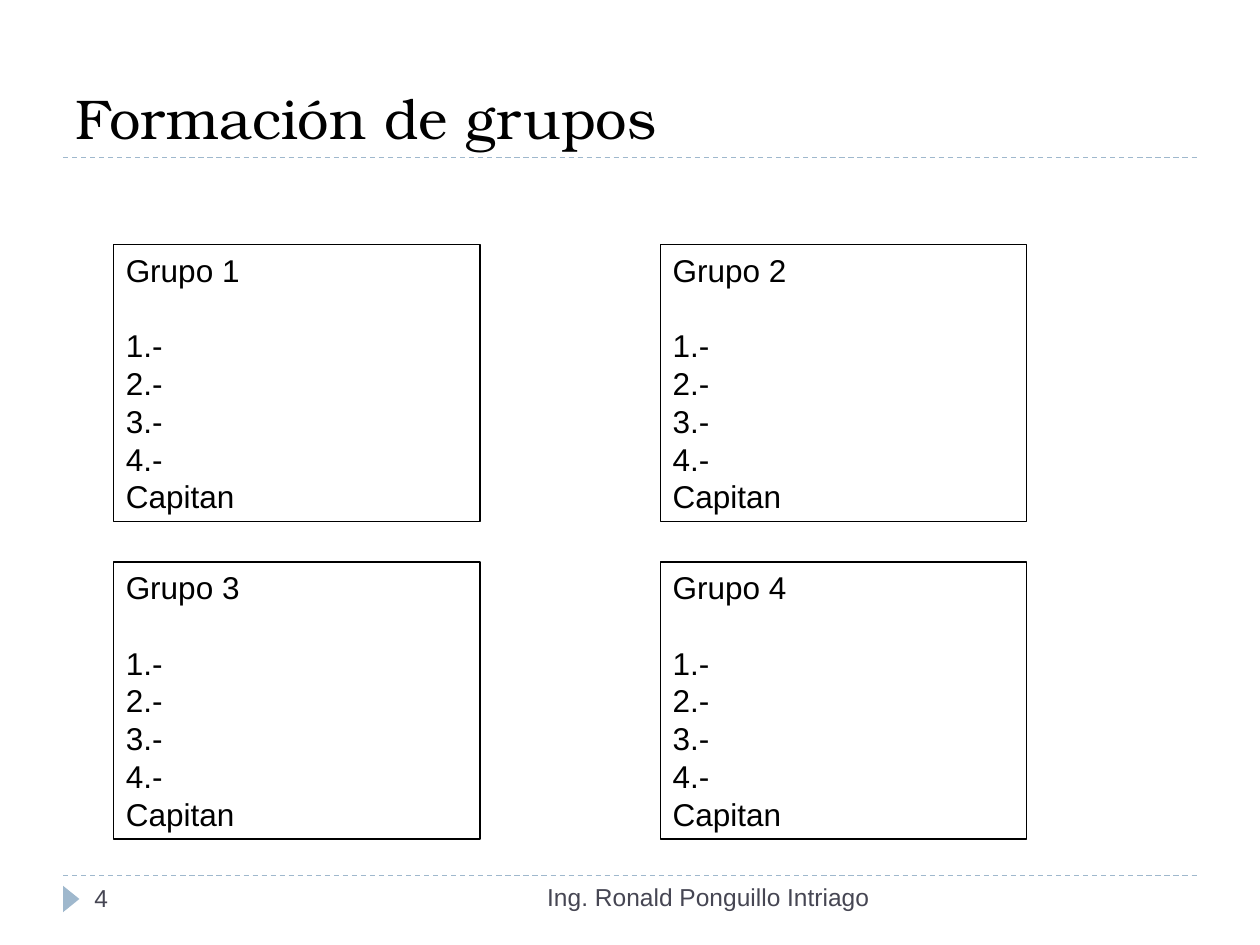
from lxml import etree
from pptx import Presentation
from pptx.dml.color import RGBColor
from pptx.enum.dml import MSO_LINE
from pptx.enum.shapes import MSO_CONNECTOR, MSO_SHAPE
from pptx.enum.text import MSO_ANCHOR, MSO_AUTO_SIZE, PP_ALIGN
from pptx.oxml.ns import qn
from pptx.util import Inches, Pt

DASH = MSO_LINE.DASH
STRAIGHT = MSO_CONNECTOR.STRAIGHT
RECTANGLE = MSO_SHAPE.RECTANGLE
TRIANGLE = MSO_SHAPE.ISOSCELES_TRIANGLE
TOP, BOTTOM = MSO_ANCHOR.TOP, MSO_ANCHOR.BOTTOM
NO_AUTOFIT = MSO_AUTO_SIZE.NONE
LEFT, RIGHT = PP_ALIGN.LEFT, PP_ALIGN.RIGHT

BLACK, GRAY, BLUE = "000000", "464653", "9FB8CD"
TITLE_ONLY = 5
LINE_PITCH = 21.6
MEMBERS = ["1.-", "2.-", "3.-", "4.-"]


def color(value):
    return RGBColor.from_string(value)


def set_text(shape, lines, size=18, font="Arial", fill=BLACK, align=LEFT,
             anchor=TOP, pitch=None):
    frame = shape.text_frame
    frame.text = "\n".join(lines)
    frame.word_wrap = True
    frame.auto_size = NO_AUTOFIT
    frame.vertical_anchor = anchor
    for paragraph in frame.paragraphs:
        paragraph.alignment = align
        if pitch:
            paragraph.line_spacing = Pt(pitch)
        paragraph.font.size = Pt(size)
        paragraph.font.name = font
        paragraph.font.color.rgb = color(fill)


def add_rule(slide, left, top, width):
    """Draw a dashed horizontal line."""
    rule = slide.shapes.add_connector(
        STRAIGHT, Inches(left), Inches(top), Inches(left + width), Inches(top))
    rule.line.color.rgb = color(BLUE)
    rule.line.width = Pt(0.75)
    rule.line.dash_style = DASH
    etree.SubElement(rule._element.spPr, qn("a:effectLst"))


def add_title(slide, text, left, top, width, height):
    title = slide.shapes.title
    title.left, title.top = Inches(left), Inches(top)
    title.width, title.height = Inches(width), Inches(height)
    set_text(title, [text], size=32, font="TeX Gyre Bonum", anchor=BOTTOM)
    add_rule(slide, left, top + height, width)


def add_group(slide, number, left, top, width, height):
    box = slide.shapes.add_shape(
        RECTANGLE, Inches(left), Inches(top), Inches(width), Inches(height))
    box.shadow.inherit = False
    box.fill.background()
    box.line.color.rgb = color(BLACK)
    box.line.width = Pt(0.75)
    set_text(box, [f"Grupo {number}", *MEMBERS, "Capitan"], pitch=LINE_PITCH)
    box.text_frame.paragraphs[1].space_before = Pt(LINE_PITCH)


def add_groups(slide, left, top, column_step, row_step):
    for index in range(4):
        row, column = divmod(index, 2)
        add_group(slide, index + 1, left + column * column_step,
                  top + row * row_step, 2.91, 2.2)


def add_footer(slide, author, number, left, top, width):
    add_rule(slide, left, top, width)
    marker = slide.shapes.add_shape(
        TRIANGLE, Inches(left - 0.04), Inches(top + 0.12), Inches(0.21), Inches(0.13))
    marker.rotation = 90
    marker.shadow.inherit = False
    marker.fill.solid()
    marker.fill.fore_color.rgb = color(BLUE)
    marker.line.fill.background()
    for text, offset, drop, box_width, align in (
            (author, 2.67, 0, 3.83, RIGHT), (number, 0.15, 0.01, 2.17, LEFT)):
        box = slide.shapes.add_textbox(
            Inches(left + offset), Inches(top + drop), Inches(box_width), Inches(0.4))
        set_text(box, [text], size=14, fill=GRAY, align=align)


def main():
    presentation = Presentation()
    presentation.slide_width, presentation.slide_height = Inches(10), Inches(7.5)
    slide = presentation.slides.add_slide(presentation.slide_layouts[TITLE_ONLY])
    add_title(slide, "Formación de grupos", 0.5, 0.17, 9, 1.08)
    add_groups(slide, 0.9, 1.94, column_step=4.34, row_step=2.52)
    add_footer(slide, "Ing. Ronald Ponguillo Intriago", "4", 0.5, 6.95, 9)
    presentation.save("out.pptx")


if __name__ == "__main__":
    main()
